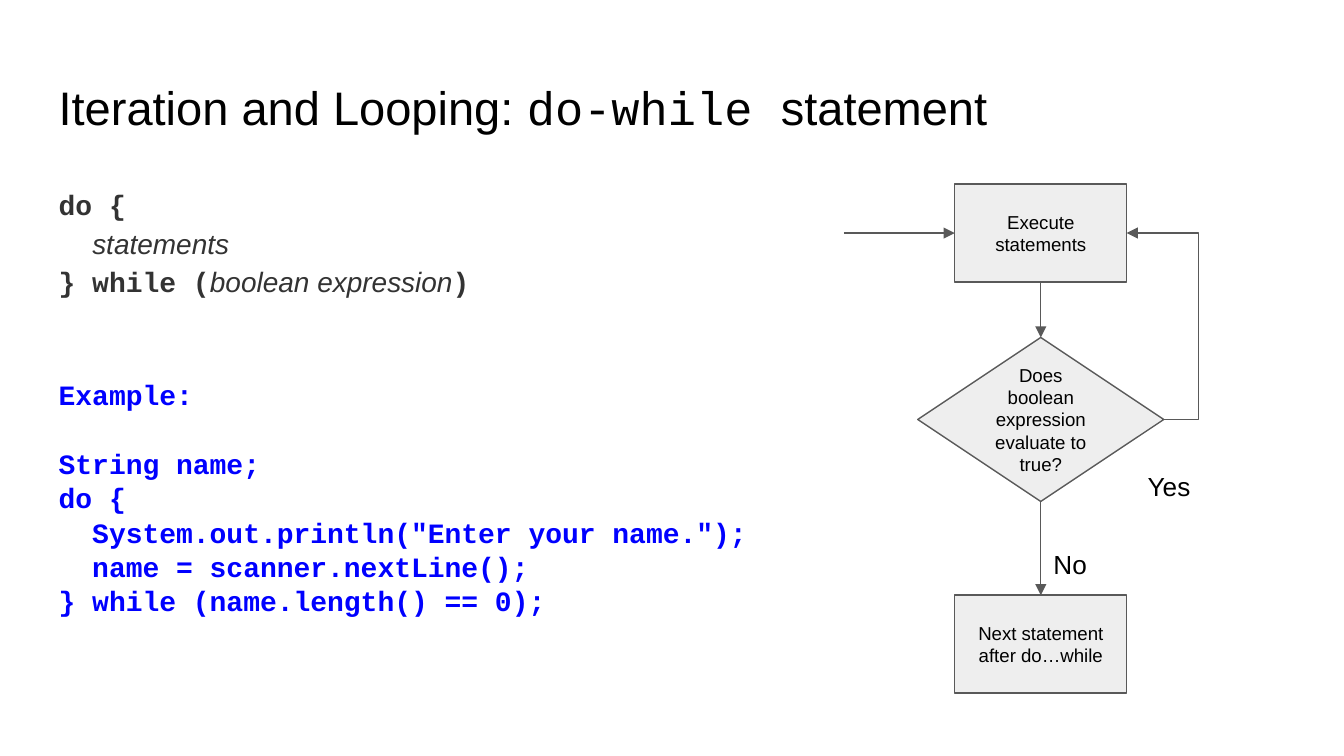
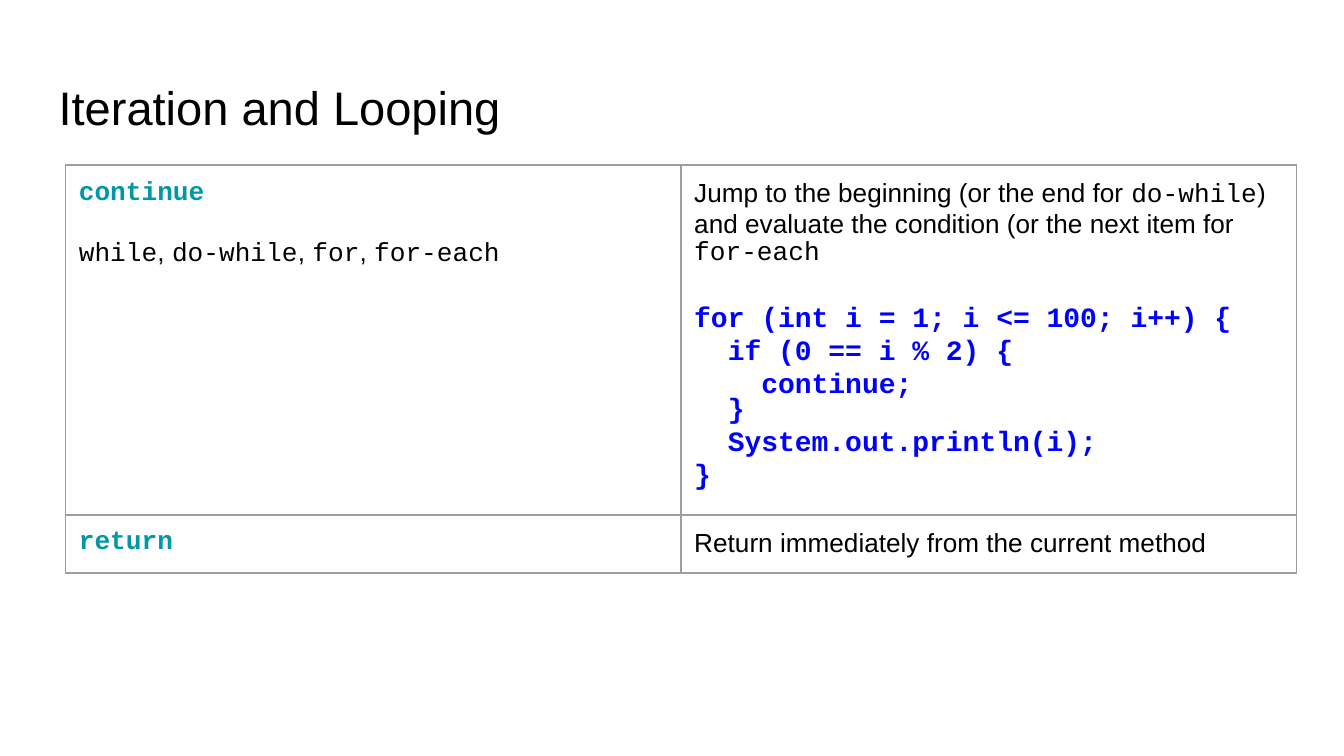
from lxml.etree import SubElement
from pptx import Presentation
from pptx.dml.color import RGBColor
from pptx.enum.shapes import MSO_CONNECTOR as Link, MSO_SHAPE as Shape
from pptx.enum.text import MSO_ANCHOR as Anchor, PP_ALIGN as Align
from pptx.oxml.ns import qn
from pptx.util import Cm, Pt

SANS, MONO = "Arial", "Courier New"
BLACK, GREY, BLUE, TEAL = "000000", "333333", "0000FF", "0097A7"
BOX_FILL, BOX_LINE, TABLE_LINE = "EEEEEE", "595959", "9E9E9E"
INSET = Cm(0.25)
color = RGBColor.from_string


def add_span(para, text, font=SANS, size=14, ink=BLACK, bold=False, italic=False):
    for index, line in enumerate(text.split("\n")):
        if index:
            para.add_line_break()
        span = para.add_run()
        span.text = line
        span.font.name = font
        span.font.size = Pt(size)
        span.font.color.rgb = color(ink)
        span.font.bold = bold
        span.font.italic = italic


def write(frame, paragraphs, align=Align.LEFT):
    frame.word_wrap = True
    frame.margin_left = frame.margin_right = INSET
    frame.margin_top = frame.margin_bottom = INSET
    for index, (spacing, before, spans) in enumerate(paragraphs):
        para = frame.add_paragraph() if index else frame.paragraphs[0]
        para.alignment = align
        para.line_spacing = spacing
        para.space_before = Pt(before)
        for text, style in spans:
            add_span(para, text, **style)


deck = Presentation()
deck.slide_width, deck.slide_height = Cm(25.4), Cm(14.29)

title = {"size": 25.2}
code_title = {"size": 25.2, "font": MONO}
titles = [
    [("Iteration and Looping: ", title), ("do-while ", code_title), ("statement", title)],
    [("Iteration and Looping", title)],
]
for spans in titles:
    page = deck.slides.add_slide(deck.slide_layouts[6])
    box = page.shapes.add_textbox(Cm(0.86), Cm(1.24), Cm(23.67), Cm(1.6))
    write(box.text_frame, [(1.0, 0, spans)])
flow_page, table_page = deck.slides

syntax = {"font": MONO, "size": 15, "ink": GREY, "bold": True}
term = {"size": 15, "ink": GREY, "italic": True}
code = {"font": MONO, "size": 15, "ink": BLUE, "bold": True}
body = [
    (1.15, 0, [("do {", syntax)]),
    (1.15, 0, [("  ", syntax), ("statements", term)]),
    (1.15, 0, [("} while (", syntax), ("boolean expression", term), (")", syntax)]),
]
for before, line in [
    (46, "Example:"),
    (22.4, "String name;"),
    (4, "do {"),
    (4, '  System.out.println("Enter your name.");'),
    (4, "  name = scanner.nextLine();"),
    (4, "} while (name.length() == 0);"),
]:
    body.append((0.8, before, [(line, code)]))
box = flow_page.shapes.add_textbox(Cm(0.86), Cm(3.2), Cm(14.88), Cm(10.59))
write(box.text_frame, body)

FLOW_CENTER = 19.67
steps = []
for kind, top, width, height, text in [
    (Shape.RECTANGLE, 3.48, 3.25, 1.85, "Execute statements"),
    (Shape.FLOWCHART_DECISION, 6.38, 4.65, 3.1, "Does boolean expression evaluate to true?"),
    (Shape.RECTANGLE, 11.25, 3.25, 1.85, "Next statement after do…while"),
]:
    step = flow_page.shapes.add_shape(
        kind, Cm(FLOW_CENTER - width / 2), Cm(top), Cm(width), Cm(height))
    step.shadow.inherit = False
    step.fill.solid()
    step.fill.fore_color.rgb = color(BOX_FILL)
    step.line.color.rgb = color(BOX_LINE)
    step.line.width = Pt(0.75)
    step.text_frame.vertical_anchor = Anchor.MIDDLE
    write(step.text_frame, [(1.0, 0, [(text, {"size": 10})])], Align.CENTER)
    steps.append(step)
execute, decision, following = steps

for kind, start, start_side, end, end_side in [
    (Link.STRAIGHT, None, None, execute, 1),
    (Link.STRAIGHT, execute, 2, decision, 0),
    (Link.STRAIGHT, decision, 2, following, 0),
    (Link.ELBOW, decision, 3, execute, 3),
]:
    entry_y = execute.top + execute.height // 2
    arrow = flow_page.shapes.add_connector(kind, Cm(15.95), entry_y, Cm(18), entry_y)
    if start is not None:
        arrow.begin_connect(start, start_side)
    arrow.end_connect(end, end_side)
    arrow.line.color.rgb = color(BOX_LINE)
    arrow.line.width = Pt(0.75)
    SubElement(arrow.line._get_or_add_ln(), qn("a:tailEnd"), type="triangle")
    properties = arrow._element.spPr
    SubElement(properties, qn("a:effectLst"))
    if kind == Link.ELBOW:
        guides = properties.find(qn("a:prstGeom")).get_or_add_avLst()
        SubElement(guides, qn("a:gd"), name="adj1", fmla="val -93200")

for text, left, top in [("Yes", 21.44, 8.64), ("No", 19.66, 10.11)]:
    box = flow_page.shapes.add_textbox(Cm(left), Cm(top), Cm(1.4), Cm(1.12))
    write(box.text_frame, [(1.0, 0, [(text, {})])])

keyword = {"font": MONO, "ink": TEAL, "bold": True}
mono = {"font": MONO}
loops = []
for name in ["while", "do-while", "for", "for-each"]:
    loops += [(", ", {})] if loops else []
    loops.append((name, mono))
jump = [
    (1.0, 0, [
        ("Jump to the beginning (or the end for ", {}),
        ("do-while", mono),
        (") and evaluate the condition (or the next item for ", {}),
        ("for-each", mono),
    ]),
]
for before, line in [
    (20.5, "for (int i = 1; i <= 100; i++) {"),
    (4, "  if (0 == i % 2) {"),
    (4, "    continue;\n  }"),
    (4, "  System.out.println(i);"),
    (4, "}"),
]:
    jump.append((0.8, before, [(line, code)]))
rows = [
    [[(1.0, 0, [("continue", keyword)]), (1.0, 16, loops)], jump],
    [[(1.0, 0, [("return", keyword)])],
     [(1.0, 0, [("Return immediately from the current method", {})])]],
]

table = table_page.shapes.add_table(
    2, 2, Cm(1.24), Cm(3.12), Cm(23.26), Cm(7.46)).table
table.first_row = table.horz_banding = False
for column in table.columns:
    column.width = Cm(11.63)
for row, height, contents in zip(table.rows, [6.37, 1.09], rows):
    row.height = Cm(height)
    for cell, paragraphs in zip(row.cells, contents):
        write(cell.text_frame, paragraphs)
        cell.margin_left = cell.margin_right = INSET
        cell.margin_top = cell.margin_bottom = INSET
        properties = cell._tc.get_or_add_tcPr()
        for side in ["a:lnL", "a:lnR", "a:lnT", "a:lnB"]:
            border = SubElement(properties, qn(side), w=str(Pt(0.75)))
            SubElement(SubElement(border, qn("a:solidFill")), qn("a:srgbClr"), val=TABLE_LINE)
        cell.fill.background()

deck.save("out.pptx")
